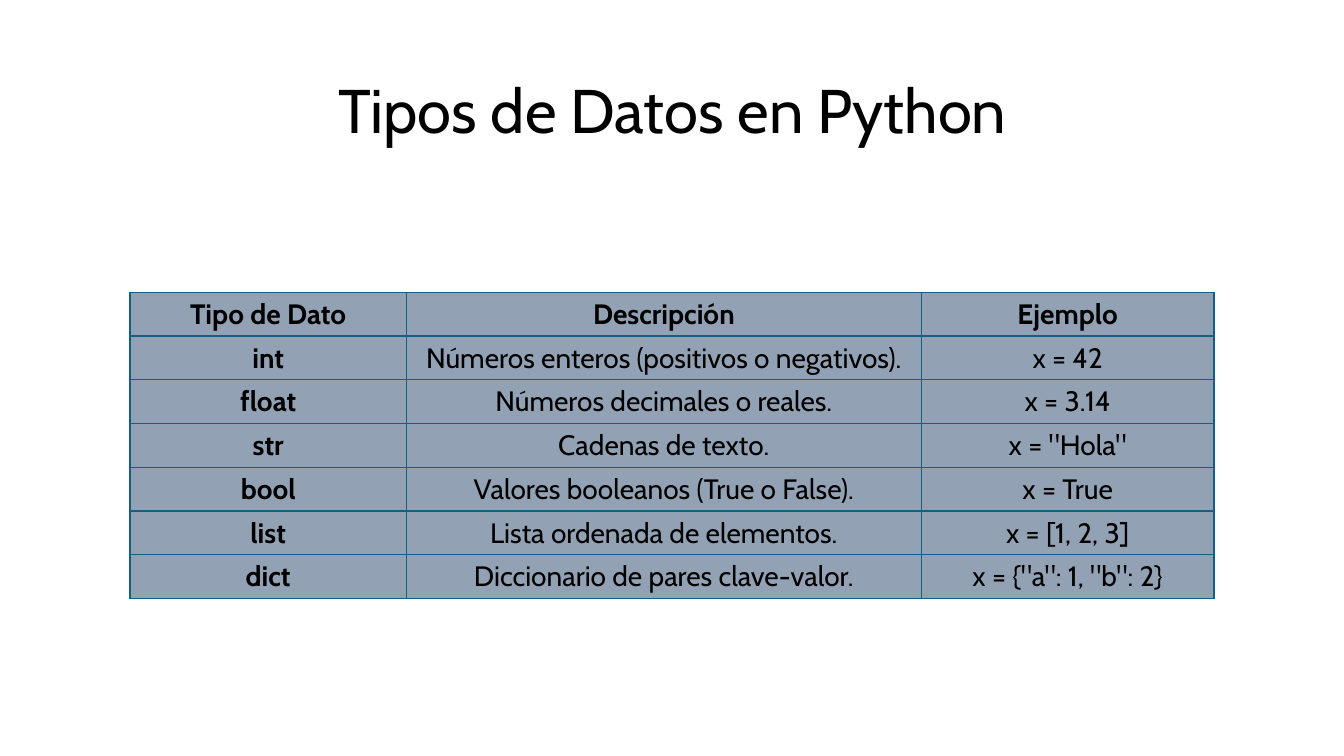
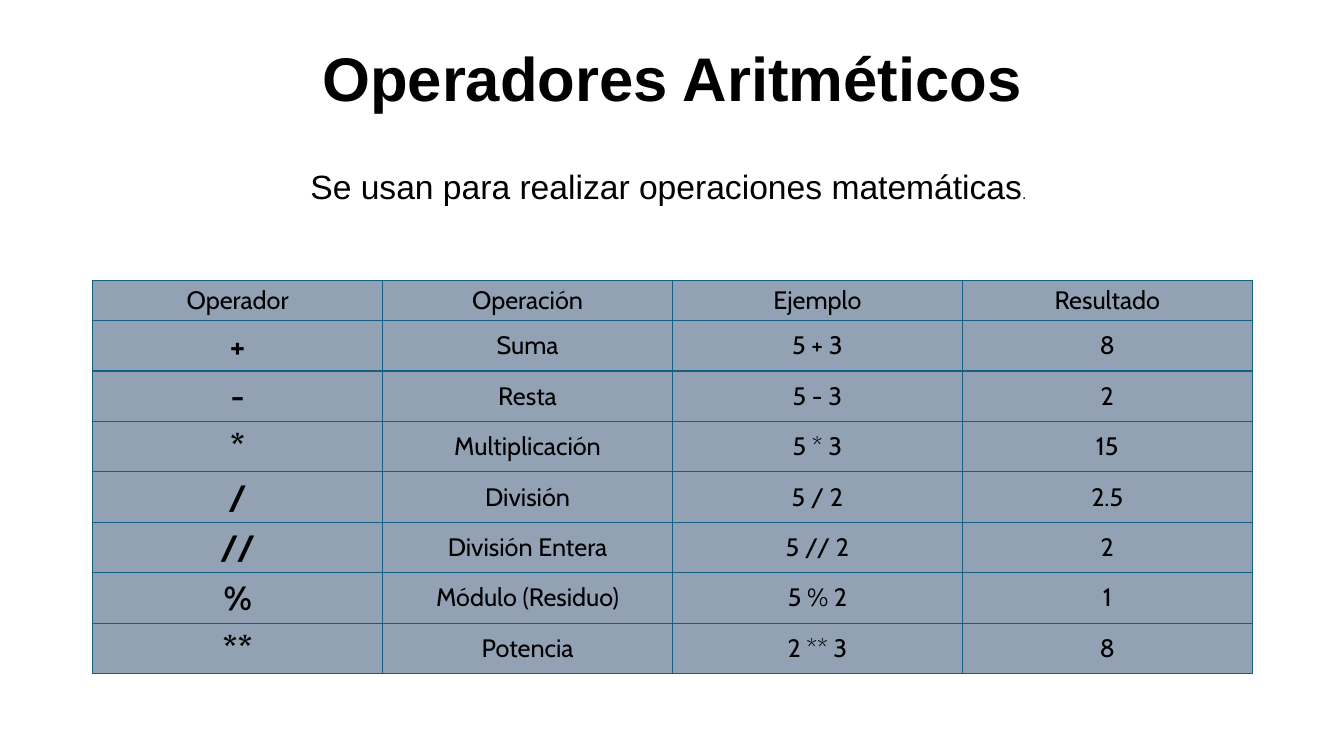
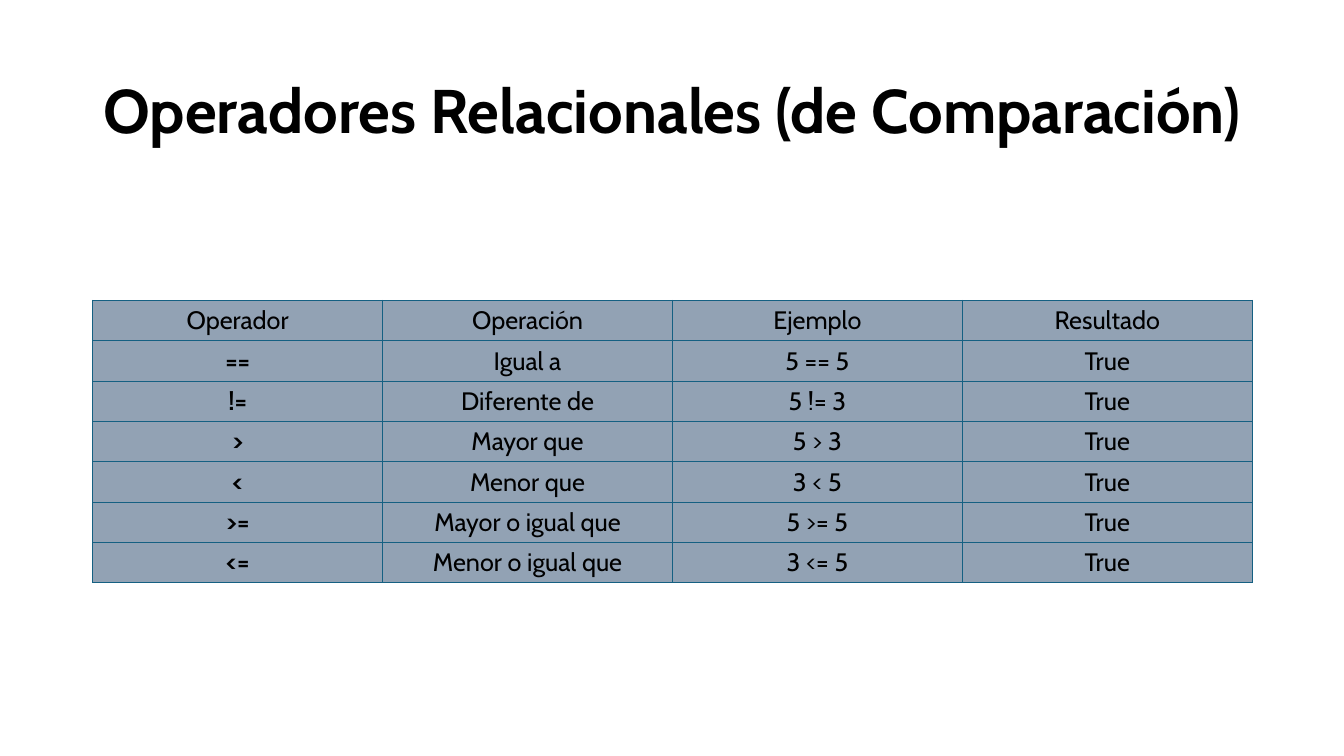
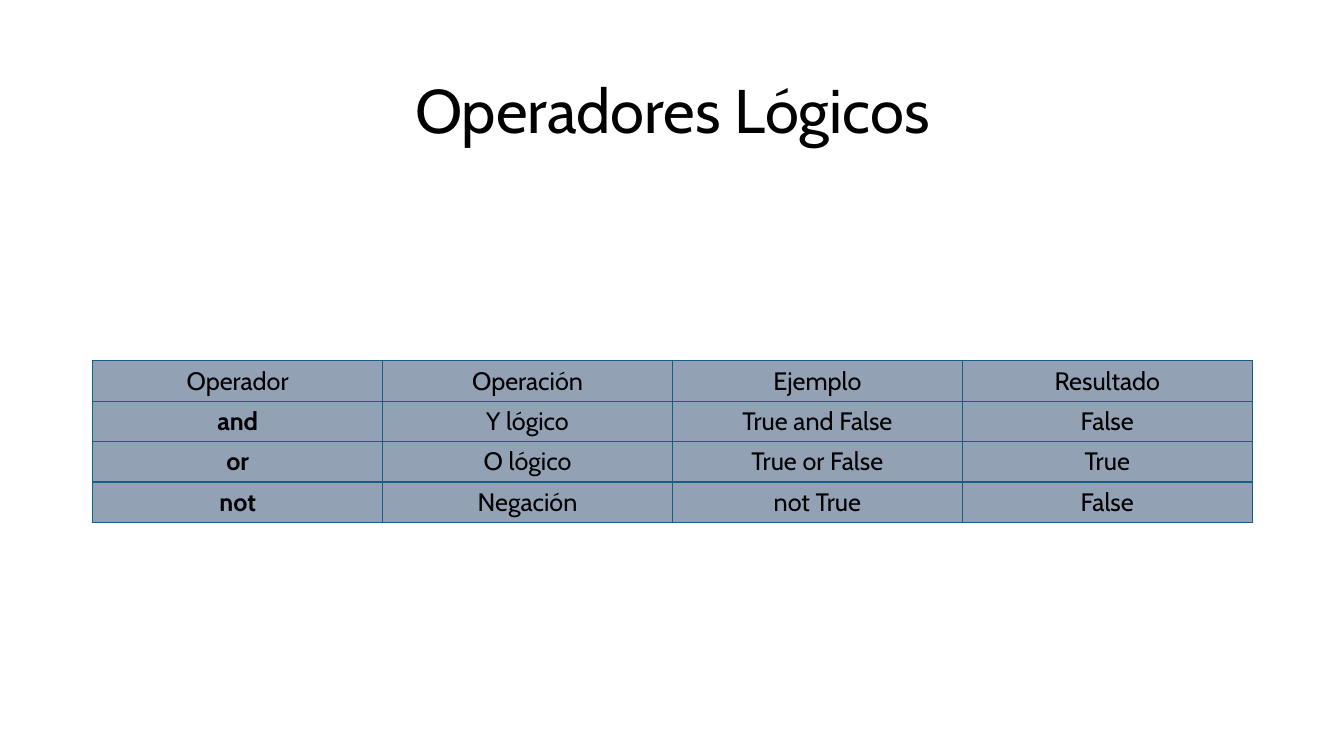
from dataclasses import dataclass
from typing import Optional

from lxml import etree
from pptx import Presentation, util as u
from pptx.dml.color import RGBColor
from pptx.enum import text as t
from pptx.oxml.ns import qn


# Shared look
@dataclass(frozen=True)
class Theme:
    text: str = "000000"
    cell: str = "92A2B4"
    border: str = "156082"
    border_pt: float = 1
    font: str = "Cabin"
    alt_font: str = "Arial"
    title: float = 44
    subtitle: float = 24
    full_stop: float = 11
    body: float = 18
    title_spacing: float = 0.9


THEME = Theme()
LEFT, WIDTH = 0.92, 11.5
TITLE_TOP, TITLE_HEIGHT = 0.4, 1.45


@dataclass(frozen=True)
class Title:
    text: str
    bold: bool = False
    font: str = THEME.font
    bottom_inset: float = 0.05


@dataclass(frozen=True)
class Grid:
    top: float
    rows: list[tuple[str, ...]]
    left: float = LEFT
    widths: tuple[float, ...] = (WIDTH / 4,) * 4
    header_height: float = 0.4
    row_height: float = 0.4
    size: float = THEME.body
    key_size: float = THEME.body
    bold_header: bool = False


@dataclass(frozen=True)
class Page:
    title: Title
    grid: Grid
    subtitle: Optional[str] = None


# Text
def write(tf, text: str, *, size: float, font: str = THEME.font, bold: bool = False,
          align=t.PP_ALIGN.CENTER, spacing: Optional[float] = None) -> None:
    """Append a formatted run to the first paragraph of a text frame."""
    p = tf.paragraphs[0]
    p.alignment = align
    if spacing:
        p.line_spacing = spacing
    r = p.add_run()
    r.text = text
    r.font.size = u.Pt(size)
    r.font.name = font
    r.font.bold = bold
    r.font.color.rgb = RGBColor.from_string(THEME.text)


def add_box(slide, left: float, top: float, width: float, height: float, wrap: bool = True):
    sp = slide.shapes.add_textbox(*map(u.Inches, (left, top, width, height)))
    tf = sp.text_frame
    tf.word_wrap = wrap
    tf.vertical_anchor = t.MSO_ANCHOR.MIDDLE
    return tf


def add_title(slide, title: Title) -> None:
    tf = add_box(slide, LEFT, TITLE_TOP, WIDTH, TITLE_HEIGHT)
    tf.margin_bottom = u.Inches(title.bottom_inset)
    write(tf, title.text, size=THEME.title, font=title.font, bold=title.bold,
          spacing=THEME.title_spacing)


def add_subtitle(slide, text: str) -> None:
    tf = add_box(slide, 2.98, 1.6, 7.38, 0.5, wrap=False)
    tf.auto_size = t.MSO_AUTO_SIZE.SHAPE_TO_FIT_TEXT
    for part, size in ((text, THEME.subtitle), (".", THEME.full_stop)):
        write(tf, part, size=size, font=THEME.alt_font, align=t.PP_ALIGN.LEFT)


# Tables
def set_borders(cell) -> None:
    tc_pr = cell._tc.get_or_add_tcPr()
    for i, side in enumerate(("a:lnL", "a:lnR", "a:lnT", "a:lnB")):
        ln = etree.Element(qn(side), w=str(u.Pt(THEME.border_pt)))
        fill = etree.SubElement(ln, qn("a:solidFill"))
        etree.SubElement(fill, qn("a:srgbClr"), val=THEME.border)
        tc_pr.insert(i, ln)


def add_grid(slide, grid: Grid) -> None:
    heights = [grid.header_height] + [grid.row_height] * (len(grid.rows) - 1)
    frame = slide.shapes.add_table(
        len(heights), len(grid.widths), u.Inches(grid.left), u.Inches(grid.top),
        u.Inches(sum(grid.widths)), u.Inches(sum(heights)))
    table = frame.table
    table.first_row = table.horz_banding = False
    for column, width in zip(table.columns, grid.widths):
        column.width = u.Inches(width)
    for row, height in zip(table.rows, heights):
        row.height = u.Inches(height)

    for i, values in enumerate(grid.rows):
        for j, value in enumerate(values):
            cell = table.cell(i, j)
            cell.vertical_anchor = t.MSO_ANCHOR.MIDDLE
            cell.fill.solid()
            cell.fill.fore_color.rgb = RGBColor.from_string(THEME.cell)
            set_borders(cell)
            is_key = i > 0 and j == 0
            write(cell.text_frame, value, size=grid.key_size if is_key else grid.size,
                  bold=is_key or (i == 0 and grid.bold_header))


# Content
OPERATOR_HEADER = ("Operador", "Operación", "Ejemplo", "Resultado")

PAGES = [
    Page(
        Title("Tipos de Datos en Python"),
        Grid(2.9, [
            ("Tipo de Dato", "Descripción", "Ejemplo"),
            ("int", "Números enteros (positivos o negativos).", "x = 42"),
            ("float", "Números decimales o reales.", "x = 3.14"),
            ("str", "Cadenas de texto.", 'x = "Hola"'),
            ("bool", "Valores booleanos (True o False).", "x = True"),
            ("list", "Lista ordenada de elementos.", "x = [1, 2, 3]"),
            ("dict", "Diccionario de pares clave-valor.", 'x = {"a": 1, "b": 2}'),
        ], left=1.29, widths=(2.74, 5.11, 2.9), header_height=0.43, row_height=0.43,
            size=20, key_size=20, bold_header=True),
    ),
    Page(
        Title("Operadores Aritméticos", bold=True, font=THEME.alt_font, bottom_inset=0.68),
        Grid(2.78, [
            OPERATOR_HEADER,
            ("+", "Suma", "5 + 3", "8"),
            ("-", "Resta", "5 - 3", "2"),
            ("*", "Multiplicación", "5 * 3", "15"),
            ("/", "División", "5 / 2", "2.5"),
            ("//", "División Entera", "5 // 2", "2"),
            ("%", "Módulo (Residuo)", "5 % 2", "1"),
            ("**", "Potencia", "2 ** 3", "8"),
        ], row_height=0.5, key_size=24),
        subtitle="Se usan para realizar operaciones matemáticas",
    ),
    Page(
        Title("Operadores Relacionales (de Comparación)", bold=True),
        Grid(2.98, [
            OPERATOR_HEADER,
            ("==", "Igual a", "5 == 5", "True"),
            ("!=", "Diferente de", "5 != 3", "True"),
            (">", "Mayor que", "5 > 3", "True"),
            ("<", "Menor que", "3 < 5", "True"),
            (">=", "Mayor o igual que", "5 >= 5", "True"),
            ("<=", "Menor o igual que", "3 <= 5", "True"),
        ]),
    ),
    Page(
        Title("Operadores Lógicos"),
        Grid(3.58, [
            OPERATOR_HEADER,
            ("and", "Y lógico", "True and False", "False"),
            ("or", "O lógico", "True or False", "True"),
            ("not", "Negación", "not True", "False"),
        ]),
    ),
]


def main() -> None:
    prs = Presentation()
    prs.slide_width, prs.slide_height = u.Inches(13.33), u.Inches(7.5)
    for page in PAGES:
        slide = prs.slides.add_slide(prs.slide_layouts[6])
        add_title(slide, page.title)
        add_grid(slide, page.grid)
        if page.subtitle:
            add_subtitle(slide, page.subtitle)
    prs.save("out.pptx")


if __name__ == "__main__":
    main()
